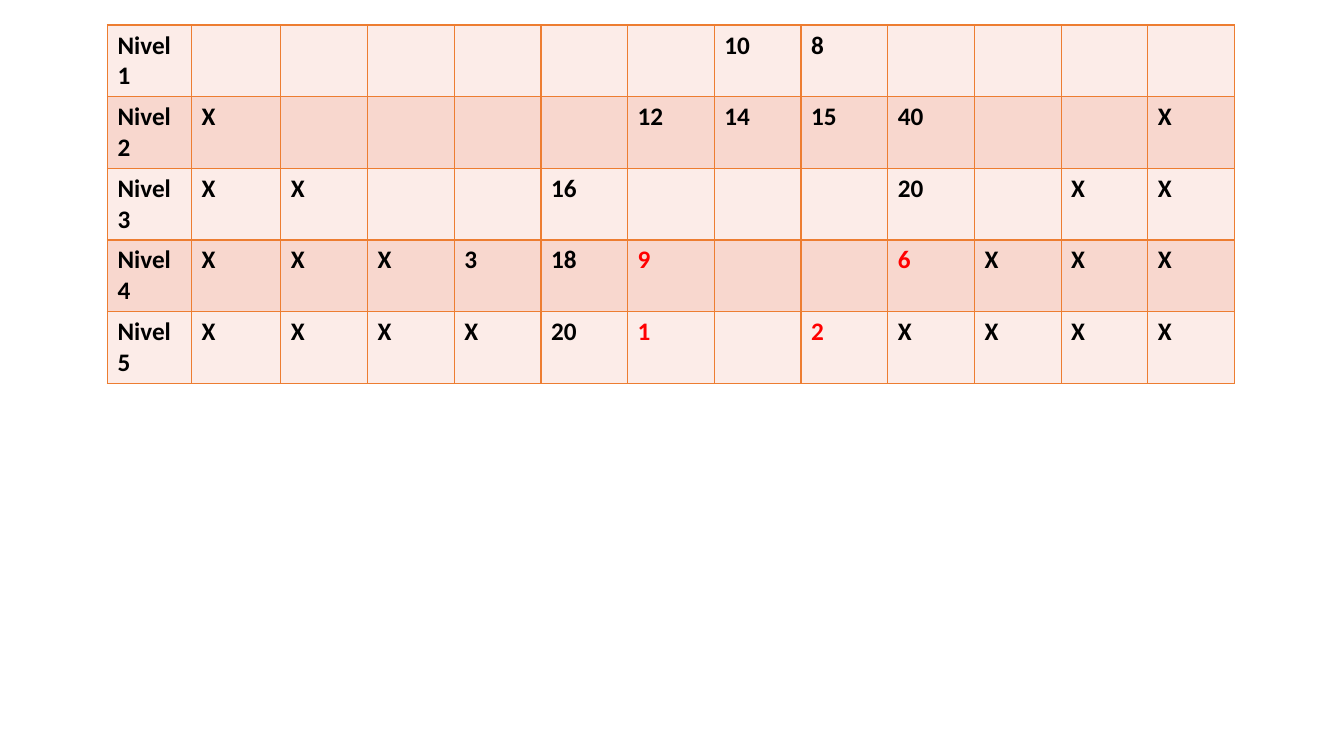
from lxml.etree import SubElement as add_xml
from pptx import Presentation
from pptx.dml.color import RGBColor as Color
from pptx.oxml.ns import qn
from pptx.util import Inches, Pt

COLORS = {"text": "000000", "mark": "FF0000", "line": "ED7D31",
          "light": "FCECE8", "dark": "F8D7CE"}
COLUMN, ROW = 0.86, 0.71  # grid steps in inches


class LevelSlide:
    """Holds the style and the current slide; lengths are grid steps."""

    text_format = {"name": "Calibri", "size": Pt(18), "bold": True}

    def __init__(self, deck):
        self.page = deck.slides.add_slide(deck.slide_layouts[6])

    def label(self, cell, text, color):
        span = cell.text_frame.paragraphs[0].add_run()
        span.text = text
        for name, value in self.text_format.items():
            setattr(span.font, name, value)
        span.font.color.rgb = Color.from_string(COLORS[color])

    def border(self, cell):
        properties = cell._tc.get_or_add_tcPr()
        for position, side in enumerate(("lnL", "lnR", "lnT", "lnB")):
            line = properties.makeelement(qn(f"a:{side}"), {"w": str(Pt(1))})
            properties.insert(position, line)
            fill = add_xml(line, qn("a:solidFill"))
            add_xml(fill, qn("a:srgbClr"), val=COLORS["line"])

    def table(self, left, top, widths, rows, marked):
        box = self.page.shapes.add_table(
            len(rows), len(widths), Inches(left * COLUMN), Inches(top * ROW),
            Inches(sum(widths) * COLUMN), Inches(len(rows) * ROW))
        grid = box.table
        for column, width in zip(grid.columns, widths):
            column.width = Inches(width * COLUMN)
        for r, texts in enumerate(rows):
            grid.rows[r].height = Inches(ROW)
            for c, text in enumerate(texts):
                cell = grid.cell(r, c)
                cell.fill.solid()
                shade = COLORS["dark" if r % 2 else "light"]
                cell.fill.fore_color.rgb = Color.from_string(shade)
                self.border(cell)
                if text:
                    self.label(cell, text, "mark" if text in marked else "text")


deck = Presentation()
deck.slide_width, deck.slide_height = Inches(13.33), Inches(7.5)

# Level values, one line per level; empty fields stay blank
LEVELS = """
,,,,,,10,8,,,,
X,,,,,12,14,15,40,,,X
X,X,,,16,,,,20,,X,X
X,X,X,3,18,9,,,6,X,X,X
X,X,X,X,20,1,,2,X,X,X,X
""".split()
rows = [[f"Nivel{number}"] + values.split(",")
        for number, values in enumerate(LEVELS, 1)]

# Level table
LevelSlide(deck).table(1.24, 0.35, [0.97, 1.03] + [1] * 11, rows,
                       marked={"9", "6", "1", "2"})

deck.save("out.pptx")
